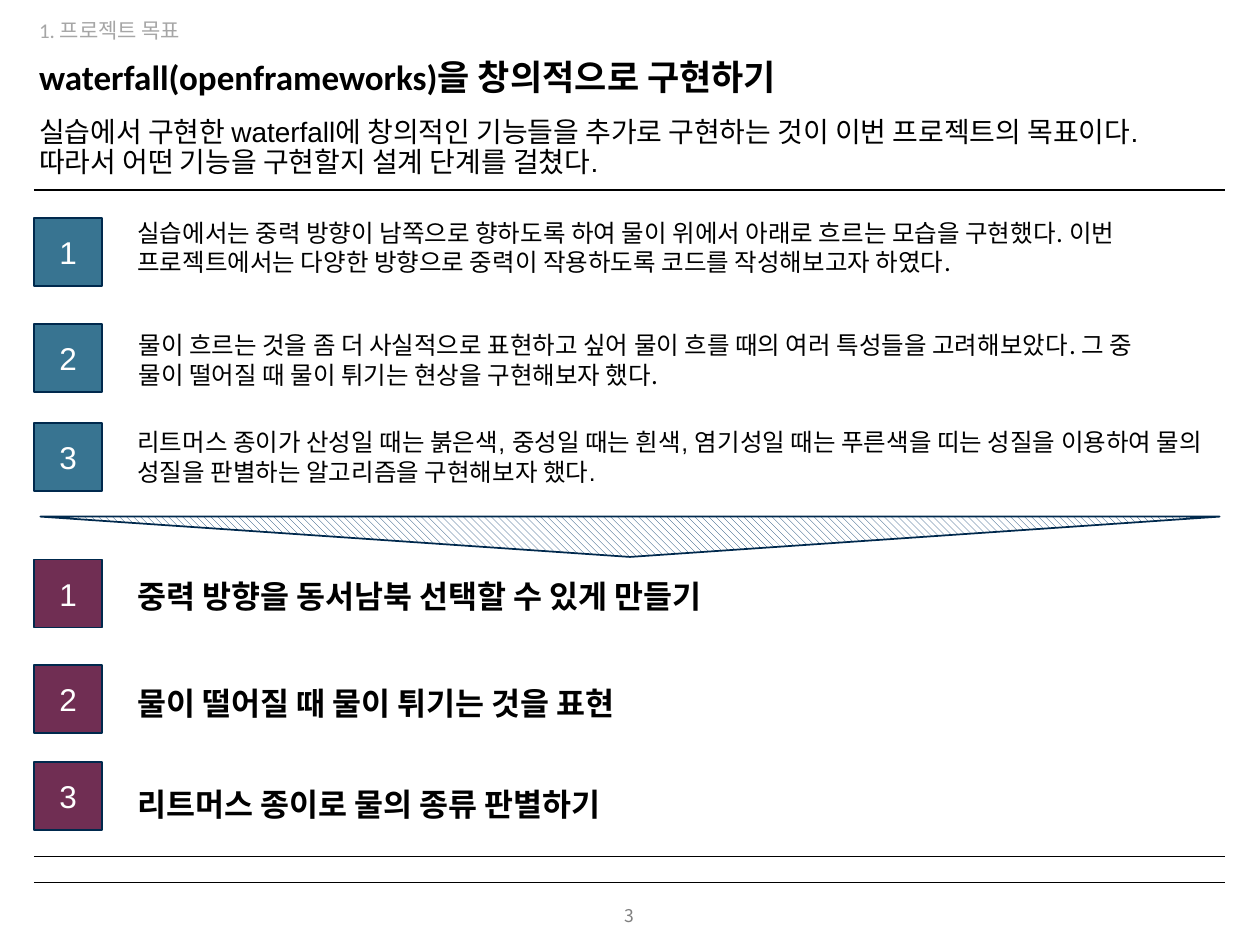
from pptx import Presentation
from pptx.dml.color import RGBColor
from pptx.enum.dml import MSO_PATTERN
from pptx.enum.shapes import MSO_CONNECTOR, MSO_SHAPE
from pptx.enum.text import MSO_ANCHOR, PP_ALIGN
from pptx.oxml.ns import qn
from pptx.util import Inches, Pt
from lxml import etree

SANS, KOR, HEAD = "Arial", "Noto Sans CJK KR", "Calibri"
COLORS = {
    "text": "000000", "muted": "A6A6A6", "page": "7F7F7F", "white": "FFFFFF",
    "plan": "387491", "goal": "702E53", "edge": "00294D", "hatch": "003868",
}
LEFT, WIDE, BOX = 0.27, 9.45, 0.54

# text, top, height, size, font, color, bold, space before
HEADER = [
    ("1. 프로젝트 목표", 0.11, 0.28, 12, HEAD, "muted", False, 10),
    ("waterfall(openframeworks)을 창의적으로 구현하기",
     0.43, 0.43, 20, HEAD, "text", True, 0),
    ("실습에서 구현한 waterfall에 창의적인 기능들을 추가로 구현하는 것이 이번 프로젝트의 목표이다. "
     "따라서 어떤 기능을 구현할지 설계 단계를 걸쳤다.",
     0.89, 0.58, 16, SANS, "text", False, 10),
]
# box top, text, (left, top, width, height), font
PLANS = [
    (1.73, "실습에서는 중력 방향이 남쪽으로 향하도록 하여 물이 위에서 아래로 흐르는 모습을 구현했다. "
     "이번 프로젝트에서는 다양한 방향으로 중력이 작용하도록 코드를 작성해보고자 하였다.",
     (1.05, 1.69, 8.08, 0.79), KOR),
    (2.57, "물이 흐르는 것을 좀 더 사실적으로 표현하고 싶어 물이 흐를 때의 여러 특성들을 고려해보았다. "
     "그 중 물이 떨어질 때 물이 튀기는 현상을 구현해보자 했다.",
     (1.06, 2.58, 8.05, 0.55), KOR),
    (3.36, "리트머스 종이가 산성일 때는 붉은색, 중성일 때는 흰색, 염기성일 때는 푸른색을 띠는 성질을 "
     "이용하여 물의 성질을 판별하는 알고리즘을 구현해보자 했다.",
     (1.05, 3.35, 8.54, 0.55), SANS),
]
GOALS = [
    (4.44, "중력 방향을 동서남북 선택할 수 있게 만들기", (1.05, 4.54, 8.54, 0.38), SANS),
    (5.28, "물이 떨어질 때 물이 튀기는 것을 표현", (1.05, 5.39, 8.54, 0.62), SANS),
    (6.05, "리트머스 종이로 물의 종류 판별하기", (1.05, 6.19, 8.27, 0.38), SANS),
]
# rows, box color, text size, bold
GROUPS = [(PLANS, "plan", 14, False), (GOALS, "goal", 18, True)]
RULES = [(1.51, 1), (6.8, 0.5), (7, 0.5)]  # height on the slide, line width


def rgb(name):
    return RGBColor.from_string(COLORS[name])


def style(para, size, font, color, bold=False):
    for run in para.runs:
        run.font.size, run.font.name, run.font.bold = Pt(size), font, bold
        run.font.color.rgb = rgb(color)


def add_text(slide, text, area, size, font, color, bold=False, inset=(0.04, 0.04)):
    """Add a wrapped text box and return its text frame."""
    frame = slide.shapes.add_textbox(*map(Inches, area)).text_frame
    frame.word_wrap = True
    frame.margin_left = frame.margin_right = Inches(inset[0])
    frame.margin_top = frame.margin_bottom = Inches(inset[1])
    frame.text = text
    style(frame.paragraphs[0], size, font, color, bold)
    return frame


def add_shape(slide, kind, area):
    """Add a preset shape with the dark edge and no shadow."""
    shape = slide.shapes.add_shape(kind, *map(Inches, area))
    shape.shadow.inherit = False
    shape.line.color.rgb = rgb("edge")
    shape.line.width = Pt(1)
    return shape


def add_number(slide, num, top, color):
    box = add_shape(slide, MSO_SHAPE.RECTANGLE, (LEFT, top, BOX, BOX))
    box.fill.solid()
    box.fill.fore_color.rgb = rgb(color)
    frame = box.text_frame
    frame.text = str(num)
    frame.vertical_anchor = MSO_ANCHOR.MIDDLE
    frame.paragraphs[0].alignment = PP_ALIGN.CENTER
    style(frame.paragraphs[0], 18, SANS, "white")


def add_rule(slide, y, width):
    line = slide.shapes.add_connector(
        MSO_CONNECTOR.STRAIGHT, *map(Inches, (LEFT, y, LEFT + WIDE, y)))
    line.line.color.rgb = rgb("text")
    line.line.width = Pt(width)
    etree.SubElement(line._element.spPr, qn("a:effectLst"))


def add_arrow(slide):
    arrow = add_shape(slide, MSO_SHAPE.ISOSCELES_TRIANGLE, (0.32, 4.1, 9.36, 0.32))
    arrow.rotation = 180
    arrow.fill.patterned()
    arrow.fill.pattern = MSO_PATTERN.WIDE_DOWNWARD_DIAGONAL
    arrow.fill.fore_color.rgb = rgb("hatch")
    arrow.fill.back_color.rgb = rgb("white")


def main():
    deck = Presentation()
    deck.slide_width, deck.slide_height = Inches(10), Inches(7.5)
    slide = deck.slides.add_slide(deck.slide_layouts[6])

    for y, width in RULES:
        add_rule(slide, y, width)
    for text, top, height, size, font, color, bold, gap in HEADER:
        frame = add_text(slide, text, (LEFT, top, WIDE, height),
                         size, font, color, bold, (0.04, 0.05))
        frame.paragraphs[0].line_spacing = 0.9
        frame.paragraphs[0].space_before = Pt(gap)
    for rows, color, size, bold in GROUPS:
        for num, (top, text, area, font) in enumerate(rows, 1):
            add_number(slide, num, top, color)
            add_text(slide, text, area, size, font, "text", bold)
    add_arrow(slide)

    page = add_text(slide, "3", (3.83, 7.18, 2.33, 0.17), 10, KOR, "page", inset=(0, 0))
    page.vertical_anchor = MSO_ANCHOR.BOTTOM
    page.paragraphs[0].alignment = PP_ALIGN.CENTER
    deck.save("out.pptx")


if __name__ == "__main__":
    main()
